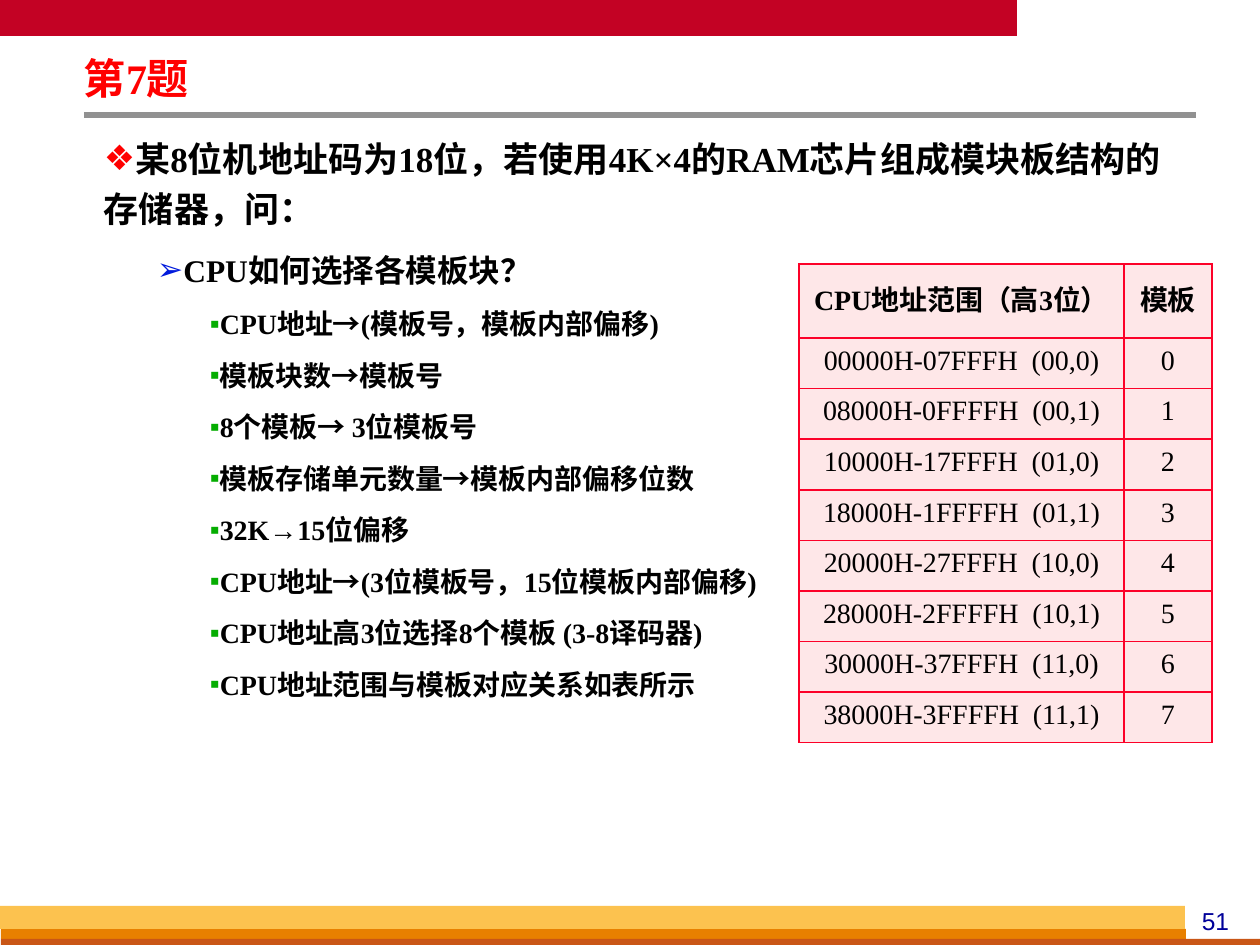
from lxml.etree import SubElement
from pptx import Presentation
from pptx.dml.color import RGBColor
from pptx.enum.shapes import MSO_CONNECTOR, MSO_SHAPE
from pptx.enum.text import MSO_ANCHOR, PP_ALIGN
from pptx.oxml.ns import qn
from pptx.util import Emu, Pt

RED = RGBColor(0xFF, 0x00, 0x00)
BLUE = RGBColor(0x00, 0x1A, 0xDC)
GREEN = RGBColor(0x05, 0xAD, 0x01)
NAVY = RGBColor(0x00, 0x00, 0x99)
BLACK = RGBColor(0x00, 0x00, 0x00)
GREY = RGBColor(0x91, 0x91, 0x91)
CRIMSON = RGBColor(0xC3, 0x02, 0x24)
ORANGE = RGBColor(0xE8, 0x80, 0x00)
RUST = RGBColor(0xC9, 0x56, 0x16)
AMBER = RGBColor(0xFC, 0xC2, 0x4F)
PINK = RGBColor(0xFE, 0xE7, 0xE8)
BORDER = RGBColor(0xFC, 0x01, 0x28)
SERIF = "Times New Roman"
SANS = "Arial"

BANDS = [
    ((0, 0, 1017, 36), CRIMSON),
    ((1, 929, 1185, 10), ORANGE),
    ((1, 939, 1260, 10), RUST),
    ((0, 906, 1185, 23), AMBER),
]
TITLE = "第7题"
PAGE_NUMBER = "51"
OUTLINE = [
    (0, "某8位机地址码为18位，若使用4K×4的RAM芯片组成模块板结构的存储器，问："),
    (1, "CPU如何选择各模板块？"),
    (2, "CPU地址→(模板号，模板内部偏移)"),
    (2, "模板块数→模板号"),
    (2, "8个模板→ 3位模板号"),
    (2, "模板存储单元数量→模板内部偏移位数"),
    (2, "32K→15位偏移"),
    (2, "CPU地址→(3位模板号，15位模板内部偏移)"),
    (2, "CPU地址高3位选择8个模板 (3-8译码器)"),
    (2, "CPU地址范围与模板对应关系如表所示"),
]
LEVELS = [("❖", RED, 20), ("➢", BLUE, 18), ("▪", GREEN, 16)]
LEVEL_INDENT = 53
HEADER = ("CPU地址范围（高3位）", "模板")
RANGES = [
    "00000H-07FFFH  (00,0)",
    "08000H-0FFFFH  (00,1)",
    "10000H-17FFFH  (01,0)",
    "18000H-1FFFFH  (01,1)",
    "20000H-27FFFH  (10,0)",
    "28000H-2FFFFH  (10,1)",
    "30000H-37FFFH  (11,0)",
    "38000H-3FFFFH  (11,1)",
]
COLUMN_WIDTHS = (325, 88)
TABLE_HEIGHT = 479
HEADER_HEIGHT = 74


def px(length):
    """Turn px into EMU."""
    return Emu(round(length * 914400 / 126))


def style(paragraph, size, color, bold=False, font=SERIF):
    """Format every run of a paragraph."""
    for run in paragraph.runs:
        run.font.name = font
        run.font.size = Pt(size)
        run.font.bold = bold
        run.font.color.rgb = color


def add_frame(slide, box, inset_x, inset_y):
    """Add a wrapping text box and return its text frame."""
    frame = slide.shapes.add_textbox(*map(px, box)).text_frame
    frame.word_wrap = True
    frame.margin_left = frame.margin_right = px(inset_x)
    frame.margin_top = frame.margin_bottom = px(inset_y)
    return frame


def set_bullet(paragraph, mark, color, indent):
    """Give a paragraph a coloured bullet and a left margin."""
    props = paragraph._p.get_or_add_pPr()
    props.set("marL", str(px(indent)))
    props.set("indent", "0")
    bullet_color = SubElement(props, qn("a:buClr"))
    SubElement(bullet_color, qn("a:srgbClr"), val=str(color))
    SubElement(props, qn("a:buFont"), typeface=SANS)
    SubElement(props, qn("a:buChar"), char=mark)


def set_borders(cell):
    """Draw all four borders of a cell."""
    props = cell._tc.get_or_add_tcPr()
    for position, side in enumerate(("lnL", "lnR", "lnT", "lnB")):
        edge = SubElement(props, qn(f"a:{side}"), w=str(Pt(1)))
        fill = SubElement(edge, qn("a:solidFill"))
        SubElement(fill, qn("a:srgbClr"), val=str(BORDER))
        props.insert(position, edge)


def add_decoration(slide):
    """Add the bands, the title rule and the page number."""
    for box, color in BANDS:
        band = slide.shapes.add_shape(MSO_SHAPE.RECTANGLE, *map(px, box))
        band.shadow.inherit = False
        band.fill.solid()
        band.fill.fore_color.rgb = color
        band.line.fill.background()
    rule = slide.shapes.add_connector(MSO_CONNECTOR.STRAIGHT, *map(px, (84, 115, 1196, 115)))
    rule.line.color.rgb = GREY
    rule.line.width = Pt(3)
    SubElement(rule._element.spPr, qn("a:effectLst"))
    number = add_frame(slide, (1176, 900, 79, 42), 13, 6).paragraphs[0]
    number.text = PAGE_NUMBER
    number.alignment = PP_ALIGN.CENTER
    style(number, 14, NAVY, font=SANS)


def add_text(slide):
    """Add the title and the bulleted outline."""
    title = add_frame(slide, (75, 55, 725, 52), 9, 4).paragraphs[0]
    title.text = TITLE
    title.line_spacing = 0.87
    style(title, 24, RED, bold=True)
    body = add_frame(slide, (95, 125, 1081, 606), 9, 4)
    body.text = "\n".join(text for _, text in OUTLINE)
    for paragraph, (level, _) in zip(body.paragraphs, OUTLINE):
        mark, color, size = LEVELS[level]
        paragraph.level = level
        paragraph.line_spacing = 1.2
        paragraph.space_before = paragraph.space_after = Pt(size * 0.2)
        set_bullet(paragraph, mark, color, level * LEVEL_INDENT)
        style(paragraph, size, BLACK, bold=True)


def add_address_table(slide):
    """Add the table of address ranges and module numbers."""
    rows = [HEADER] + [(span, str(module)) for module, span in enumerate(RANGES)]
    row_height = (TABLE_HEIGHT - HEADER_HEIGHT) / len(RANGES)
    box = (799, 264, sum(COLUMN_WIDTHS), TABLE_HEIGHT)
    table = slide.shapes.add_table(len(rows), len(HEADER), *map(px, box)).table
    table.horz_banding = False
    for column, width in zip(table.columns, COLUMN_WIDTHS):
        column.width = px(width)
    for r, row in enumerate(rows):
        table.rows[r].height = px(row_height if r else HEADER_HEIGHT)
        for c, text in enumerate(row):
            cell = table.cell(r, c)
            cell.fill.solid()
            cell.fill.fore_color.rgb = PINK
            cell.vertical_anchor = MSO_ANCHOR.MIDDLE
            set_borders(cell)
            entry = cell.text_frame.paragraphs[0]
            entry.text = text
            entry.alignment = PP_ALIGN.CENTER
            entry.line_spacing = 0.75
            style(entry, 16, BLACK, bold=r == 0)


def main():
    """Build the slide and save it."""
    deck = Presentation()
    deck.slide_width, deck.slide_height = px(1260), px(945)
    slide = deck.slides.add_slide(deck.slide_layouts[6])
    add_decoration(slide)
    add_text(slide)
    add_address_table(slide)
    deck.save("out.pptx")


if __name__ == "__main__":
    main()
